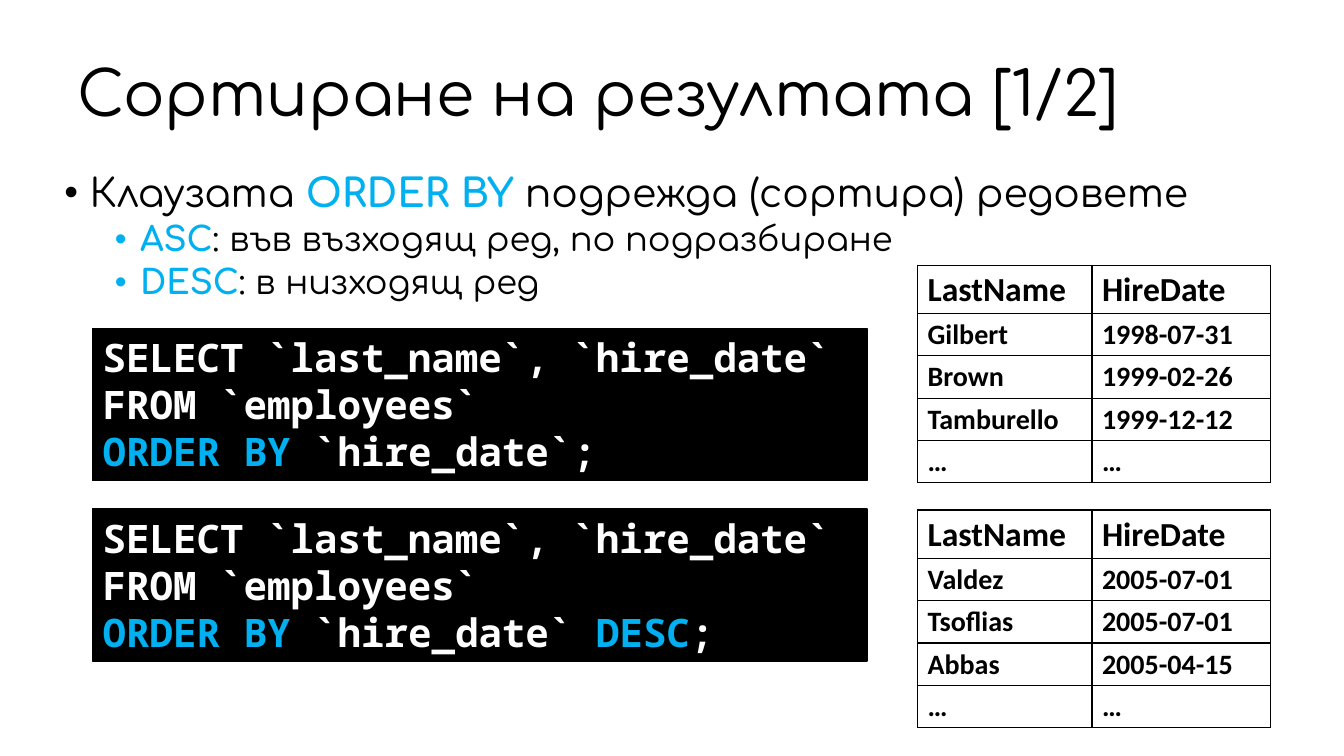
from lxml import etree
from pptx import Presentation, util as u
from pptx.dml.color import RGBColor
from pptx.enum import shapes, text
from pptx.oxml import ns

COLORS = {"ink": "000000", "paper": "FFFFFF", "accent": "00B0F0"}

TITLE = "Сортиране на резултата [1/2]"

# Spans are (words, highlighted)
BULLETS = [
    (0, [("Клаузата ", False), ("ORDER BY ", True), ("подрежда (сортира) редовете", False)]),
    (1, [("ASC", True), (": във възходящ ред, по подразбиране", False)]),
    (1, [("DESC", True), (": в низходящ ред", False)]),
]
BULLET_STYLES = [
    {"size": 28, "left": 0.25, "before": 10},
    {"size": 24, "left": 0.75, "before": 5},
]
HANGING = 0.25

QUERY_START = [
    [("SELECT `last_name`, `hire_date`", False)],
    [("FROM `employees`", False)],
]
HEADER = ("LastName", "HireDate")
ELLIPSIS = ("…", "…")
EXAMPLES = [
    {
        "code_top": 3.26,
        "table_top": 2.63,
        "order": [("ORDER BY", True), (" `hire_date`;", False)],
        "rows": [("Gilbert", "1998-07-31"), ("Brown", "1999-02-26"),
                 ("Tamburello", "1999-12-12")],
    },
    {
        "code_top": 5.05,
        "table_top": 5.06,
        "order": [("ORDER BY", True), (" `hire_date` ", False), ("DESC", True), (";", False)],
        "rows": [("Valdez", "2005-07-01"), ("Tsoflias", "2005-07-01"),
                 ("Abbas", "2005-04-15")],
    },
]
CODE_LEFT, CODE_WIDTH, CODE_HEIGHT = 0.92, 7.68, 1.51
TABLE_LEFT, COLUMN_WIDTHS = 9.1, (1.73, 1.77)
HEADER_HEIGHT, ROW_HEIGHT = 0.48, 0.42


def color(name):
    return RGBColor.from_string(COLORS[name])


def set_font(font, name, size, bold=False):
    font.name, font.size, font.bold = name, u.Pt(size), bold


def next_para(frame, index):
    return frame.paragraphs[0] if index == 0 else frame.add_paragraph()


def add_spans(para, spans, plain):
    for words, highlighted in spans:
        span = para.add_run()
        span.text = words
        span.font.color.rgb = color("accent" if highlighted else plain)
        if highlighted:
            span.font.bold = True


def add_textbox(page, left, top, width, height):
    frame = page.shapes.add_textbox(*map(u.Inches, (left, top, width, height))).text_frame
    frame.word_wrap = True
    return frame


def add_title(page):
    frame = add_textbox(page, 0.67, 0.23, 11.5, 1.45)
    frame.vertical_anchor = text.MSO_ANCHOR.MIDDLE
    para = frame.paragraphs[0]
    para.text = TITLE
    para.line_spacing = 0.9
    set_font(para.font, "Comfortaa", 44)
    para.font.color.rgb = color("ink")


def add_bullets(page):
    frame = add_textbox(page, 0.54, 1.67, 11.45, 1.41)
    for index, (level, spans) in enumerate(BULLETS):
        style = BULLET_STYLES[level]
        para = next_para(frame, index)
        para.level = level
        para.line_spacing = 0.9
        if index:
            para.space_before = u.Pt(style["before"])
        properties = para._p.get_or_add_pPr()
        properties.set("marL", str(u.Inches(style["left"])))
        properties.set("indent", str(-u.Inches(HANGING)))
        etree.SubElement(properties, ns.qn("a:buFont"), typeface="Arial")
        etree.SubElement(properties, ns.qn("a:buChar"), char="•")
        set_font(para.font, "Comfortaa", style["size"])
        add_spans(para, spans, "ink")


def add_code(page, top, lines):
    box = page.shapes.add_shape(
        shapes.MSO_SHAPE.RECTANGLE,
        *map(u.Inches, (CODE_LEFT, top, CODE_WIDTH, CODE_HEIGHT)))
    box.shadow.inherit = False
    box.fill.solid()
    box.fill.fore_color.rgb = color("ink")
    box.line.color.rgb = color("ink")
    box.line.width = u.Pt(1)
    frame = box.text_frame
    frame.word_wrap = True
    frame.auto_size = text.MSO_AUTO_SIZE.SHAPE_TO_FIT_TEXT
    frame.vertical_anchor = text.MSO_ANCHOR.TOP
    for index, spans in enumerate(lines):
        para = next_para(frame, index)
        para.alignment = text.PP_ALIGN.LEFT
        set_font(para.font, "Noto Sans Mono", 28, True)
        add_spans(para, spans, "paper")


def add_borders(cell):
    properties = cell._tc.get_or_add_tcPr()
    for side in ("lnL", "lnR", "lnT", "lnB"):
        border = etree.SubElement(properties, ns.qn("a:" + side), w=str(u.Pt(1)))
        fill = etree.SubElement(border, ns.qn("a:solidFill"))
        etree.SubElement(fill, ns.qn("a:srgbClr"), val=COLORS["ink"])


def add_result(page, top, rows):
    heights = [HEADER_HEIGHT] + [ROW_HEIGHT] * (len(rows) - 1)
    table = page.shapes.add_table(
        len(rows), len(COLUMN_WIDTHS),
        *map(u.Inches, (TABLE_LEFT, top, sum(COLUMN_WIDTHS), sum(heights)))).table
    for column, width in zip(table.columns, COLUMN_WIDTHS):
        column.width = u.Inches(width)
    for r, (height, values) in enumerate(zip(heights, rows)):
        table.rows[r].height = u.Inches(height)
        for c, value in enumerate(values):
            cell = table.cell(r, c)
            add_borders(cell)
            cell.fill.background()
            para = cell.text_frame.paragraphs[0]
            para.text = value
            para.line_spacing = 0.95
            set_font(para.font, "Calibri", 20 if r else 24, True)
            para.font.color.rgb = color("ink")


def main():
    deck = Presentation()
    deck.slide_width, deck.slide_height = u.Inches(13.33), u.Inches(7.5)
    page = deck.slides.add_slide(deck.slide_layouts[6])
    add_title(page)
    add_bullets(page)
    for example in EXAMPLES:
        add_code(page, example["code_top"], QUERY_START + [example["order"]])
        add_result(page, example["table_top"], [HEADER, *example["rows"], ELLIPSIS])
    deck.save("out.pptx")


if __name__ == "__main__":
    main()
